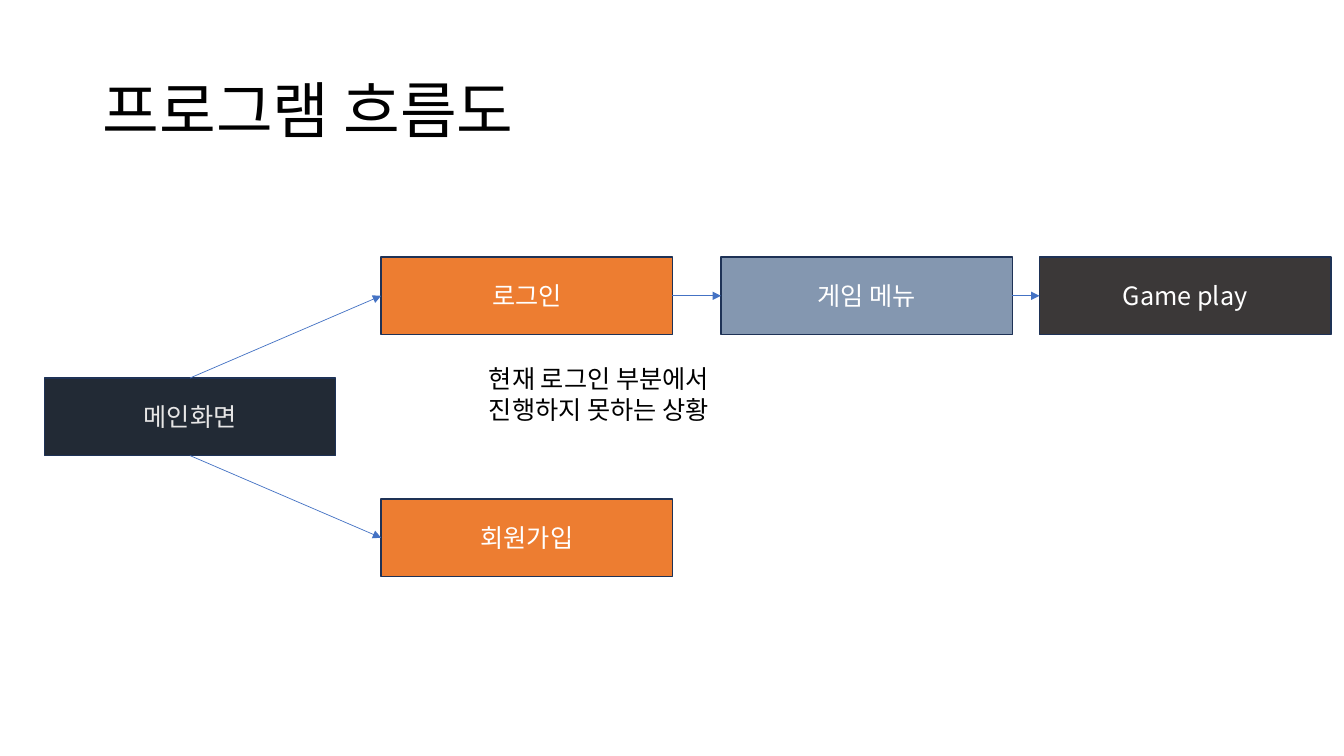
import pptx
import pptx.util
import pptx.dml.color
import pptx.enum.shapes
import pptx.enum.text
import pptx.oxml.ns
import lxml.etree

Inches = pptx.util.Inches
RGBColor = pptx.dml.color.RGBColor
ALIGN = pptx.enum.text.PP_ALIGN
ANCHOR = pptx.enum.text.MSO_ANCHOR
qn = pptx.oxml.ns.qn

FONT = "Noto Sans CJK KR"
BLACK = RGBColor(0x00, 0x00, 0x00)
WHITE = RGBColor(0xFF, 0xFF, 0xFF)
LIGHT_GRAY = RGBColor(0xE7, 0xE6, 0xE6)
NAVY = RGBColor(0x22, 0x2A, 0x35)
ORANGE = RGBColor(0xED, 0x7D, 0x31)
SLATE = RGBColor(0x84, 0x97, 0xB0)
CHARCOAL = RGBColor(0x3B, 0x38, 0x38)
OUTLINE = RGBColor(0x1E, 0x32, 0x56)
ARROW_BLUE = RGBColor(0x44, 0x72, 0xC4)

BOX_WIDTH, BOX_HEIGHT = 2.89, 0.77
TOP, BOTTOM, LEFT, RIGHT = 0, 2, 1, 3


def write_text(shape, text, size=18, color=BLACK, align=ALIGN.LEFT,
               anchor=ANCHOR.TOP, line_spacing=None):
    frame = shape.text_frame
    frame.word_wrap = True
    frame.vertical_anchor = anchor
    frame.text = text
    for para in frame.paragraphs:
        para.alignment = align
        para.line_spacing = line_spacing
        for span in para.runs:
            span.font.size = pptx.util.Pt(size)
            span.font.name = FONT
            span.font.color.rgb = color
            # Hangul takes the East Asian typeface
            latin = span.font._element.find(qn("a:latin"))
            east_asian = lxml.etree.Element(qn("a:ea"), typeface=FONT)
            latin.addnext(east_asian)


deck = pptx.Presentation()
deck.slide_width = Inches(13.33)
deck.slide_height = Inches(7.5)
page = deck.slides.add_slide(deck.slide_layouts[5])

# Title
title = page.shapes.title
title.left, title.top = Inches(0.92), Inches(0.4)
title.width, title.height = Inches(11.5), Inches(1.45)
write_text(title, "프로그램 흐름도", size=44, anchor=ANCHOR.MIDDLE,
           line_spacing=0.9)

# Flow steps
steps = [
    ("메인화면", 0.44, 3.75, NAVY, LIGHT_GRAY),
    ("로그인", 3.78, 2.55, ORANGE, WHITE),
    ("회원가입", 3.78, 4.95, ORANGE, WHITE),
    ("게임 메뉴", 7.15, 2.55, SLATE, WHITE),
    ("Game play", 10.31, 2.55, CHARCOAL, WHITE),
]
boxes = {}
for label, left, top, fill, color in steps:
    box = page.shapes.add_shape(
        pptx.enum.shapes.MSO_SHAPE.RECTANGLE, Inches(left), Inches(top),
        Inches(BOX_WIDTH), Inches(BOX_HEIGHT))
    box.shadow.inherit = False
    box.fill.solid()
    box.fill.fore_color.rgb = fill
    box.line.color.rgb = OUTLINE
    box.line.width = pptx.util.Pt(1)
    write_text(box, label, color=color, align=ALIGN.CENTER,
               anchor=ANCHOR.MIDDLE)
    boxes[label] = box

# Arrows between steps
links = [
    ("메인화면", TOP, "로그인"),
    ("메인화면", BOTTOM, "회원가입"),
    ("로그인", RIGHT, "게임 메뉴"),
    ("게임 메뉴", RIGHT, "Game play"),
]
for source, side, target in links:
    arrow = page.shapes.add_connector(
        pptx.enum.shapes.MSO_CONNECTOR.STRAIGHT, 0, 0, 0, 0)
    arrow.begin_connect(boxes[source], side)
    arrow.end_connect(boxes[target], LEFT)
    arrow.line.color.rgb = ARROW_BLUE
    arrow.line.width = pptx.util.Pt(0.5)
    properties = arrow._element.spPr
    lxml.etree.SubElement(properties.find(qn("a:ln")), qn("a:tailEnd"),
                          type="triangle")
    lxml.etree.SubElement(properties, qn("a:effectLst"))

# Status note
note = page.shapes.add_textbox(Inches(4.75), Inches(3.56), Inches(3.95),
                               Inches(0.71))
write_text(note, "현재 로그인 부분에서\n진행하지 못하는 상황")
note.text_frame.auto_size = pptx.enum.text.MSO_AUTO_SIZE.SHAPE_TO_FIT_TEXT

deck.save("out.pptx")
